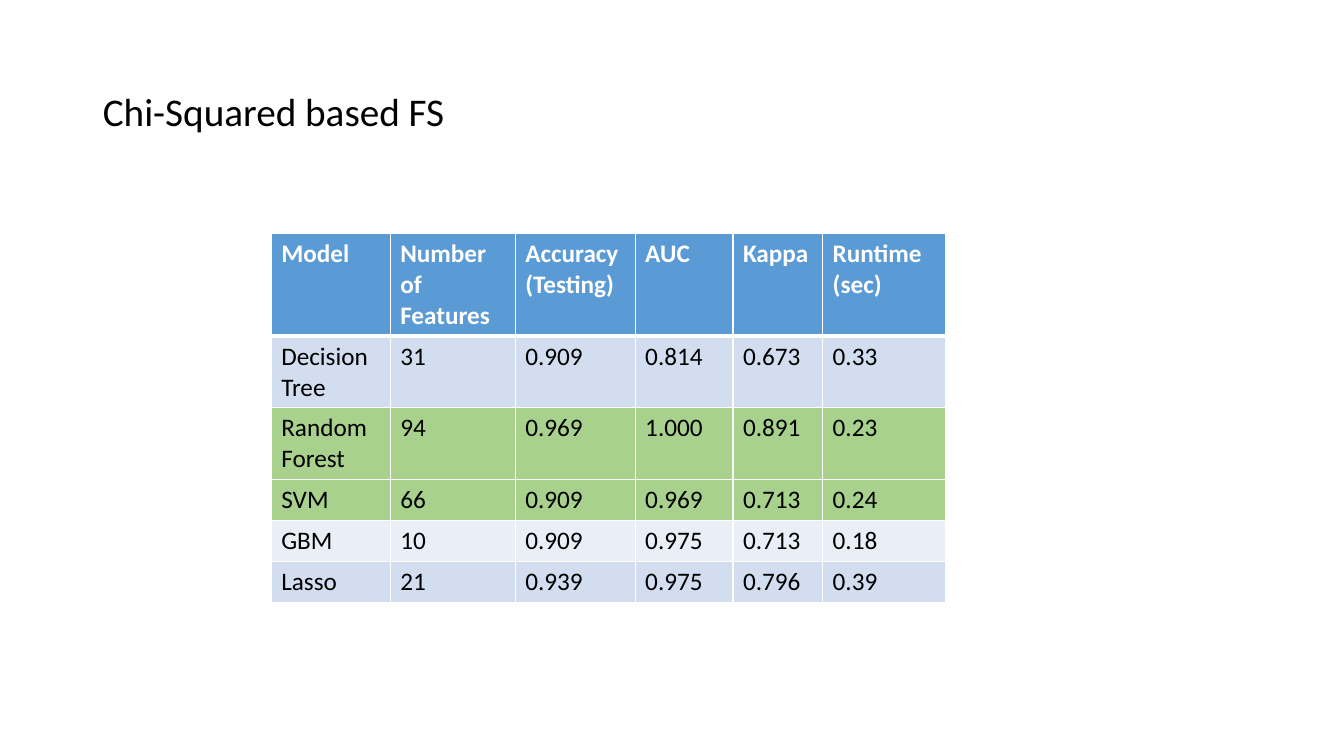
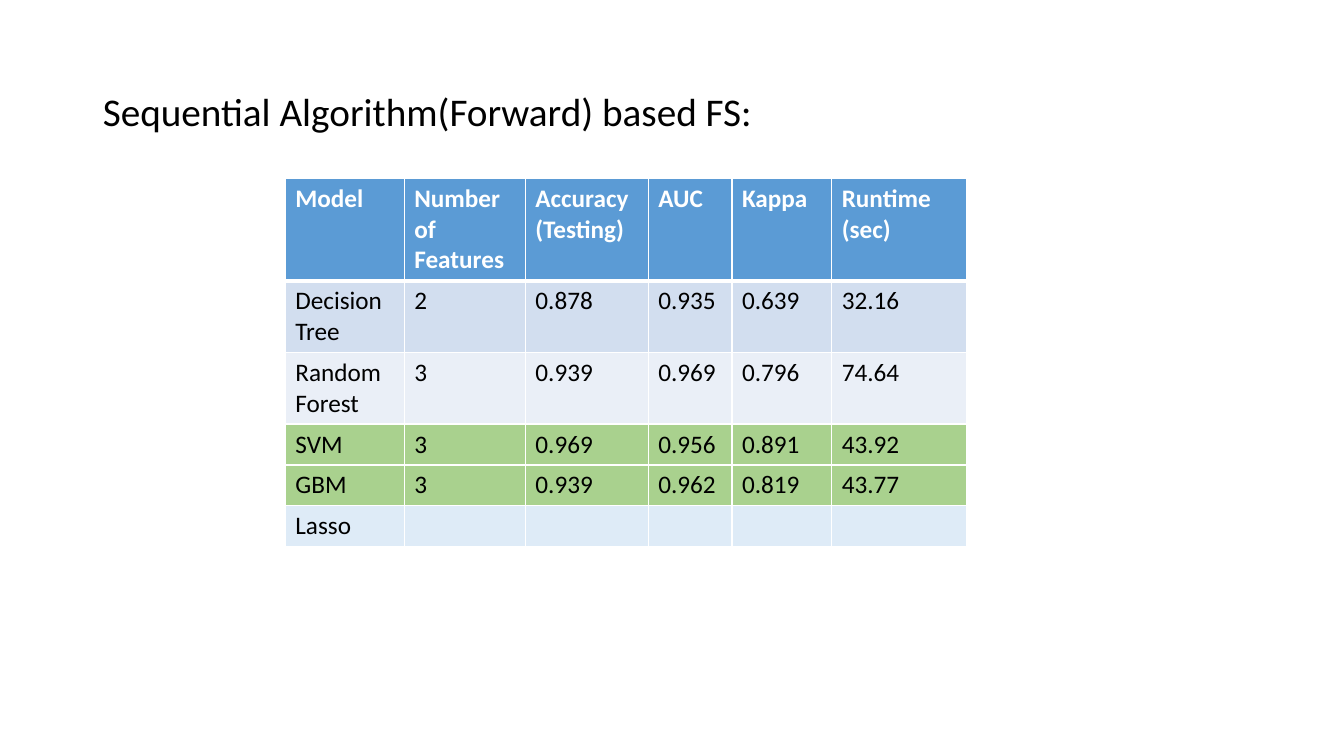
from dataclasses import dataclass

from lxml import etree
from pptx import Presentation
from pptx import util as u
from pptx.dml.color import RGBColor
from pptx.enum import text
from pptx.oxml.ns import qn

# Shared style
WIDE, HIGH = 13.33, 7.5
FONT = "Calibri"
HUES = {
    "ink": "000000",
    "white": "FFFFFF",
    "head": "5B9BD5",
    "odd": "D2DEEF",
    "even": "EAEFF7",
    "best": "A9D18E",
    "blank": "DEEBF7",
}
HEADS = ("Model", "Number of Features", "Accuracy (Testing)",
         "AUC", "Kappa", "Runtime (sec)")
LINES = (3, 2, 2, 1, 1, 1)  # text lines in each table row
PAD, LEAD = 0.1, 0.305  # cell padding and line height, inches


@dataclass
class Page:
    title: str
    left: float
    top: float
    cols: tuple[float, ...]
    rows: tuple[tuple[str, ...], ...]
    best: tuple[str, ...]


PAGES = (
    Page("Chi-Squared based FS", 2.69, 2.32,
         (1.18, 1.24, 1.19, 0.97, 0.89, 1.22),
         (("Decision Tree", "31", "0.909", "0.814", "0.673", "0.33"),
          ("Random Forest", "94", "0.969", "1.000", "0.891", "0.23"),
          ("SVM", "66", "0.909", "0.969", "0.713", "0.24"),
          ("GBM", "10", "0.909", "0.975", "0.713", "0.18"),
          ("Lasso", "21", "0.939", "0.975", "0.796", "0.39")),
         ("Random Forest", "SVM")),
    Page("Sequential Algorithm(Forward) based FS:", 2.83, 1.77,
         (1.18, 1.2, 1.22, 0.83, 0.99, 1.34),
         (("Decision Tree", "2", "0.878", "0.935", "0.639", "32.16"),
          ("Random Forest", "3", "0.939", "0.969", "0.796", "74.64"),
          ("SVM", "3", "0.969", "0.956", "0.891", "43.92"),
          ("GBM", "3", "0.939", "0.962", "0.819", "43.77"),
          ("Lasso", "", "", "", "", "")),
         ("SVM", "GBM")),
)


def color(name: str) -> RGBColor:
    return RGBColor.from_string(HUES[name])


def style(para, size: int, hue: str, bold: bool = False) -> None:
    for run in para.runs:
        run.font.name = FONT
        run.font.size = u.Pt(size)
        run.font.bold = bold
        run.font.color.rgb = color(hue)


def edge(cell, row: int) -> None:
    """White cell borders, thicker between the header and the body."""
    props = cell._tc.get_or_add_tcPr()
    thick = {"lnB": row == 0, "lnT": row == 1}
    for side in ("lnL", "lnR", "lnT", "lnB"):
        width = u.Pt(3 if thick.get(side) else 1)
        line = etree.SubElement(props, qn(f"a:{side}"), w=str(width))
        fill = etree.SubElement(line, qn("a:solidFill"))
        etree.SubElement(fill, qn("a:srgbClr"), val=HUES["white"])


def shade(page: Page, row: int, cells: tuple[str, ...]) -> str:
    if row == 0:
        return "head"
    if cells[0] in page.best:
        return "best"
    if not any(cells[1:]):
        return "blank"
    return "odd" if row % 2 else "even"


def add_title(slide, words: str) -> None:
    title = slide.shapes.title
    title.left, title.top = u.Inches(0.92), u.Inches(0.4)
    title.width, title.height = u.Inches(11.5), u.Inches(1.45)
    frame = title.text_frame
    frame.text = words
    frame.word_wrap = True
    frame.auto_size = text.MSO_AUTO_SIZE.NONE
    frame.vertical_anchor = text.MSO_ANCHOR.MIDDLE
    para = frame.paragraphs[0]
    para.alignment = text.PP_ALIGN.LEFT
    para.line_spacing = 0.9
    style(para, 28, "ink")


def add_grid(slide, page: Page) -> None:
    data = (HEADS, *page.rows)
    highs = [PAD + LEAD * count for count in LINES]
    table = slide.shapes.add_table(
        len(data), len(HEADS), u.Inches(page.left), u.Inches(page.top),
        u.Inches(sum(page.cols)), u.Inches(sum(highs))).table
    for col, width in zip(table.columns, page.cols):
        col.width = u.Inches(width)
    for row, cells in enumerate(data):
        table.rows[row].height = u.Inches(highs[row])
        hue = shade(page, row, cells)
        for col, words in enumerate(cells):
            cell = table.cell(row, col)
            edge(cell, row)
            cell.fill.solid()
            cell.fill.fore_color.rgb = color(hue)
            cell.text_frame.text = words
            style(cell.text_frame.paragraphs[0], 18,
                  "ink" if row else "white", bold=row == 0)


def main() -> None:
    deck = Presentation()
    deck.slide_width, deck.slide_height = u.Inches(WIDE), u.Inches(HIGH)
    for page in PAGES:
        slide = deck.slides.add_slide(deck.slide_layouts[5])
        add_title(slide, page.title)
        add_grid(slide, page)
    deck.save("out.pptx")


if __name__ == "__main__":
    main()
